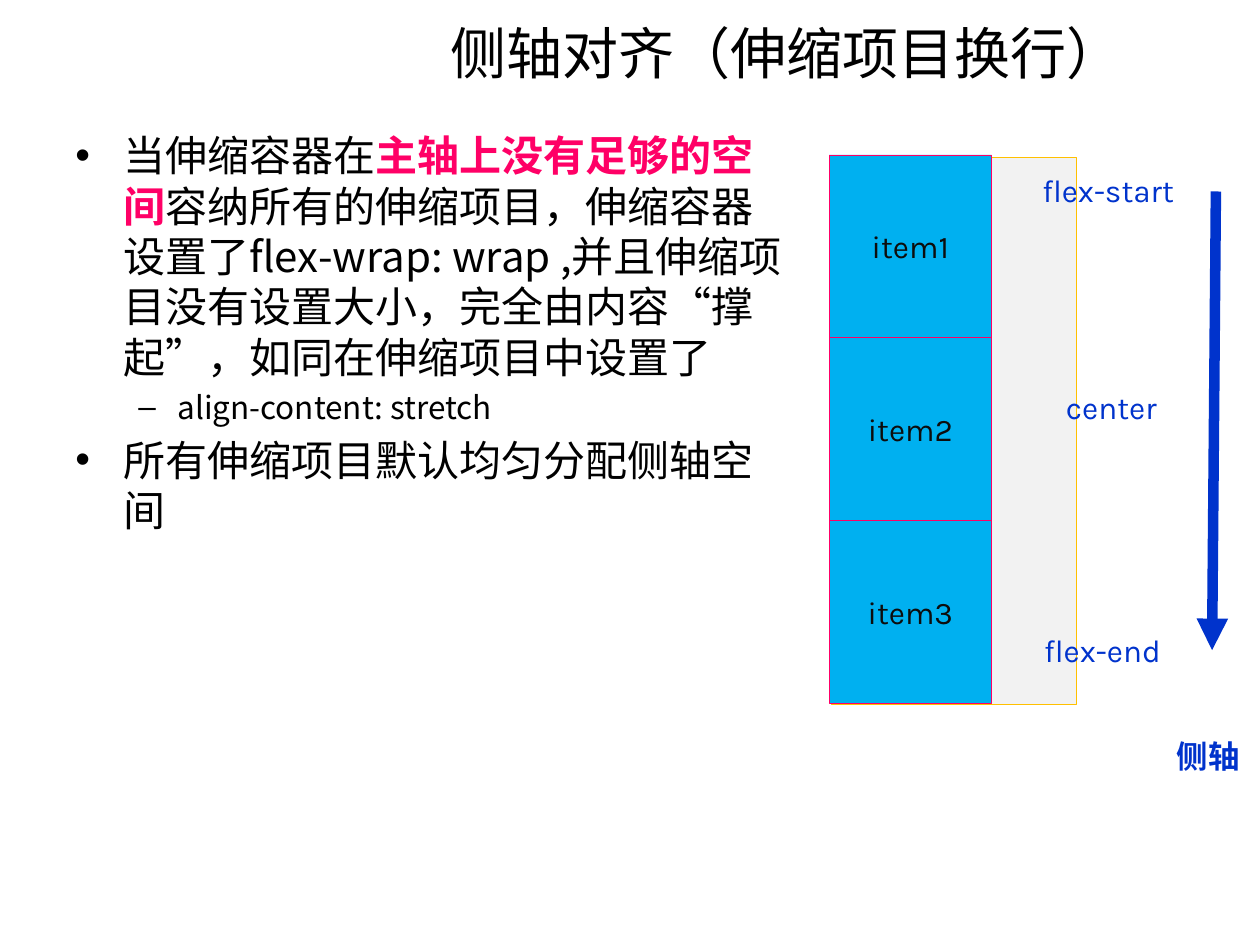
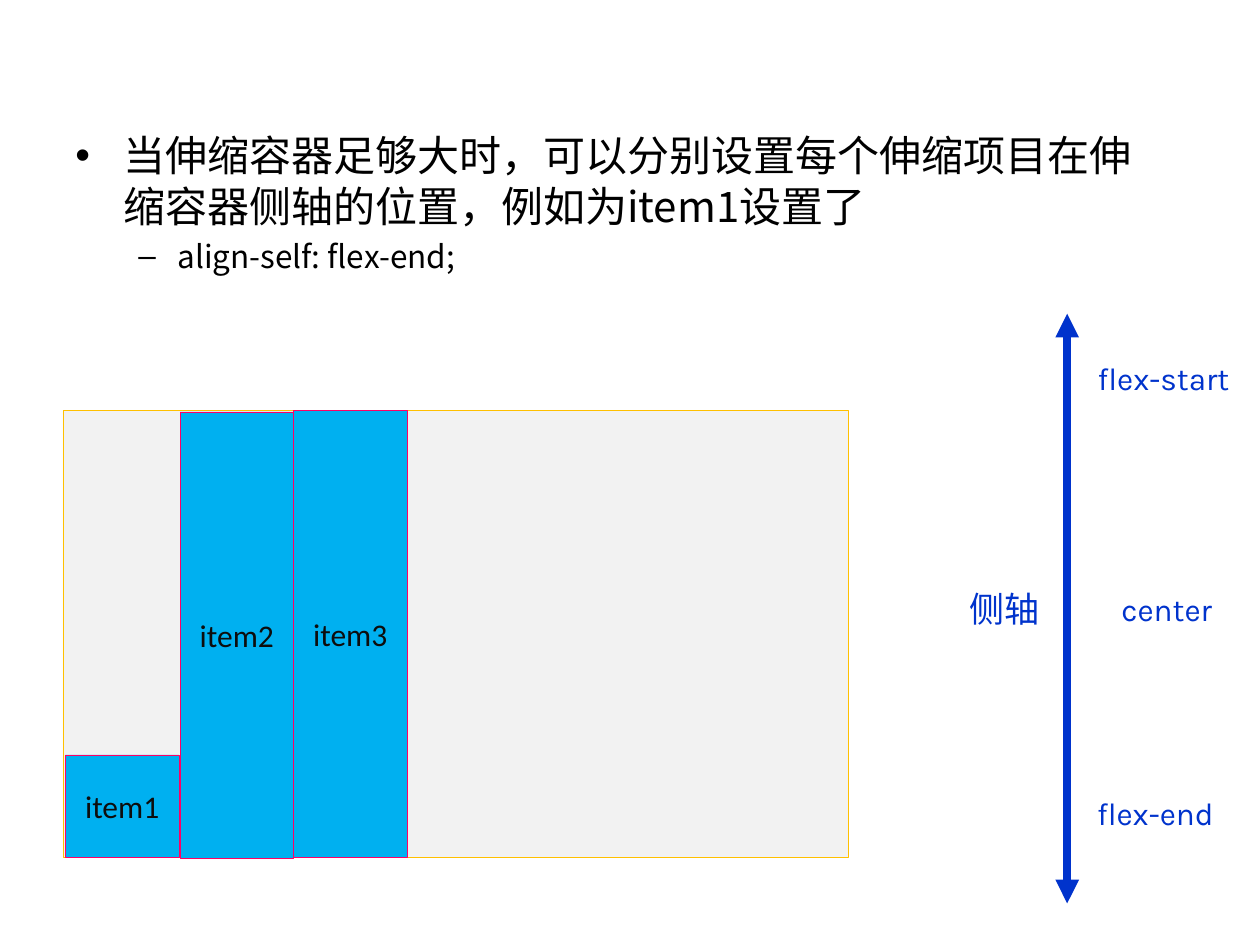
from lxml.etree import SubElement
from pptx import Presentation
from pptx.dml.color import RGBColor
from pptx.enum.shapes import MSO_CONNECTOR, MSO_SHAPE
from pptx.enum.text import MSO_ANCHOR, PP_ALIGN
from pptx.oxml.ns import qn
from pptx.util import Inches, Pt

COLORS = {
    "text": "000000",
    "accent": "FF0066",
    "container": "F2F2F2",
    "container_line": "FFC000",
    "item": "00B0F0",
    "item_text": "0D0D0D",
    "axis": "0033CC",
}
CJK = "Noto Sans CJK SC"
CJK_JP = "Noto Sans CJK JP"
LABEL = "Karla"
LEVELS = [("•", 24, 0.38, -0.38), ("–", 18, 0.81, -0.31)]
LEADING = 1.2


class Deck:
    """Holds the shared style and draws on the current slide."""

    def __init__(self):
        self.prs = Presentation()
        self.prs.slide_width = Inches(10)
        self.prs.slide_height = Inches(7.5)
        self.s = None

    def slide(self):
        self.s = self.prs.slides.add_slide(self.prs.slide_layouts[6])

    def format_run(self, r, size, font, color, bold=False):
        r.font.size = Pt(size)
        r.font.bold = bold
        r.font.color.rgb = RGBColor.from_string(COLORS[color])
        r.font.name = font
        SubElement(r.font._element, qn("a:ea"), typeface=font)

    def text_frame(self, x, y, w, h):
        sp = self.s.shapes.add_textbox(Inches(x), Inches(y), Inches(w), Inches(h))
        sp.text_frame.word_wrap = True
        return sp.text_frame

    def line_of_text(self, tf, text, size, font, color, align=PP_ALIGN.CENTER, bold=False):
        p = tf.paragraphs[0]
        p.text = text
        p.alignment = align
        self.format_run(p.runs[0], size, font, color, bold)
        return p

    def title(self, text):
        tf = self.text_frame(2.59, 0.03, 7.31, 0.76)
        tf.vertical_anchor = MSO_ANCHOR.MIDDLE
        self.line_of_text(tf, text, 32, CJK, "text")

    def bullets(self, w, h, entries):
        tf = self.text_frame(0.5, 0.98, w, h)
        for i, (level, parts) in enumerate(entries):
            p = tf.add_paragraph() if i else tf.paragraphs[0]
            char, size, margin, indent = LEVELS[level]
            p.level = level
            p.space_before = Pt(size * 0.2)
            p.line_spacing = Pt(size * LEADING)
            pPr = p._p.get_or_add_pPr()
            pPr.set("marL", str(Inches(margin)))
            pPr.set("indent", str(Inches(indent)))
            SubElement(pPr, qn("a:buFont"), typeface="Arial")
            SubElement(pPr, qn("a:buChar"), char=char)
            for text, color in parts:
                r = p.add_run()
                r.text = text
                self.format_run(r, size, CJK, color, color == "accent")

    def box(self, x, y, w, h, fill, line):
        sp = self.s.shapes.add_shape(
            MSO_SHAPE.ROUNDED_RECTANGLE, Inches(x), Inches(y), Inches(w), Inches(h))
        sp.adjustments[0] = 0
        sp.shadow.inherit = False
        sp.fill.solid()
        sp.fill.fore_color.rgb = RGBColor.from_string(COLORS[fill])
        sp.line.color.rgb = RGBColor.from_string(COLORS[line])
        sp.line.width = Pt(0.25)
        return sp

    def container(self, x, y, w, h):
        self.box(x, y, w, h, "container", "container_line")

    def item(self, x, y, w, h, text, font):
        tf = self.box(x, y, w, h, "item", "accent").text_frame
        tf.word_wrap = True
        tf.vertical_anchor = MSO_ANCHOR.MIDDLE
        self.line_of_text(tf, text, 18, font, "item_text")

    def label(self, x, y, w, text, **style):
        tf = self.text_frame(x, y, w, 0.4)
        self.line_of_text(tf, text, 18, LABEL, "axis", **style)

    def arrow(self, x1, y1, x2, y2, width, ends):
        c = self.s.shapes.add_connector(
            MSO_CONNECTOR.STRAIGHT, Inches(x1), Inches(y1), Inches(x2), Inches(y2))
        c.line.color.rgb = RGBColor.from_string(COLORS["axis"])
        c.line.width = Pt(width)
        ln = c.line._get_or_add_ln()
        for end in ends:
            SubElement(ln, qn(f"a:{end}"), type="triangle")
        SubElement(c._element.spPr, qn("a:effectLst"))


def wrap_slide(deck):
    """Show how wrapped items share the cross axis."""
    deck.slide()
    deck.title("侧轴对齐（伸缩项目换行）")
    deck.bullets(5.84, 6.22, [
        (0, [("当伸缩容器在", "text"),
             ("主轴上没有足够的空间", "accent"),
             ("容纳所有的伸缩项目，伸缩容器设置了flex-wrap: wrap ,并且伸缩项目没有设置大小，"
              "完全由内容“撑起”，如同在伸缩项目中设置了", "text")]),
        (1, [("align-content: stretch", "text")]),
        (0, [("所有伸缩项目默认均匀分配侧轴空间", "text")]),
    ])
    deck.container(6.6, 1.25, 1.94, 4.34)
    for i in range(3):
        deck.item(6.58, 1.23 + 1.45 * i, 1.29, 1.45, f"item{i + 1}", LABEL)
    deck.label(7.94, 1.31, 1.71, "flex-start")
    deck.label(7.96, 3.03, 1.72, "center")
    deck.label(7.89, 4.96, 1.72, "flex-end")
    deck.label(9.24, 5.8, 0.75, "侧轴", align=PP_ALIGN.LEFT, bold=True)
    deck.arrow(9.65, 1.52, 9.62, 5.16, 6, ["tailEnd"])


def align_self_slide(deck):
    """Show one item placed on its own along the cross axis."""
    deck.slide()
    deck.bullets(8.67, 1.35, [
        (0, [("当伸缩容器足够大时，可以分别设置每个伸缩项目在伸缩容器侧轴的位置，"
              "例如为item1设置了", "text")]),
        (1, [("align-self: flex-end;", "text")]),
    ])
    deck.container(0.5, 3.26, 6.23, 3.54)
    items = [(0.52, 5.99, 0.81), (1.43, 3.27, 3.54), (2.33, 3.26, 3.54)]
    for i, (x, y, h) in enumerate(items, 1):
        deck.item(x, y, 0.9, h, f"item{i}", "Calibri")
    deck.label(8.47, 2.8, 1.53, "flex-start")
    deck.label(8.69, 4.63, 1.14, "center")
    deck.label(8.41, 6.25, 1.52, "flex-end")
    deck.arrow(8.47, 2.49, 8.47, 7.17, 4.5, ["headEnd", "tailEnd"])
    tf = deck.text_frame(7.55, 4.61, 0.84, 0.44)
    p = deck.line_of_text(tf, "侧轴", 20, CJK_JP, "axis")
    p.line_spacing = Pt(20 * LEADING)


def main():
    """Build both slides and save the file."""
    deck = Deck()
    wrap_slide(deck)
    align_self_slide(deck)
    deck.prs.save("out.pptx")


if __name__ == "__main__":
    main()
